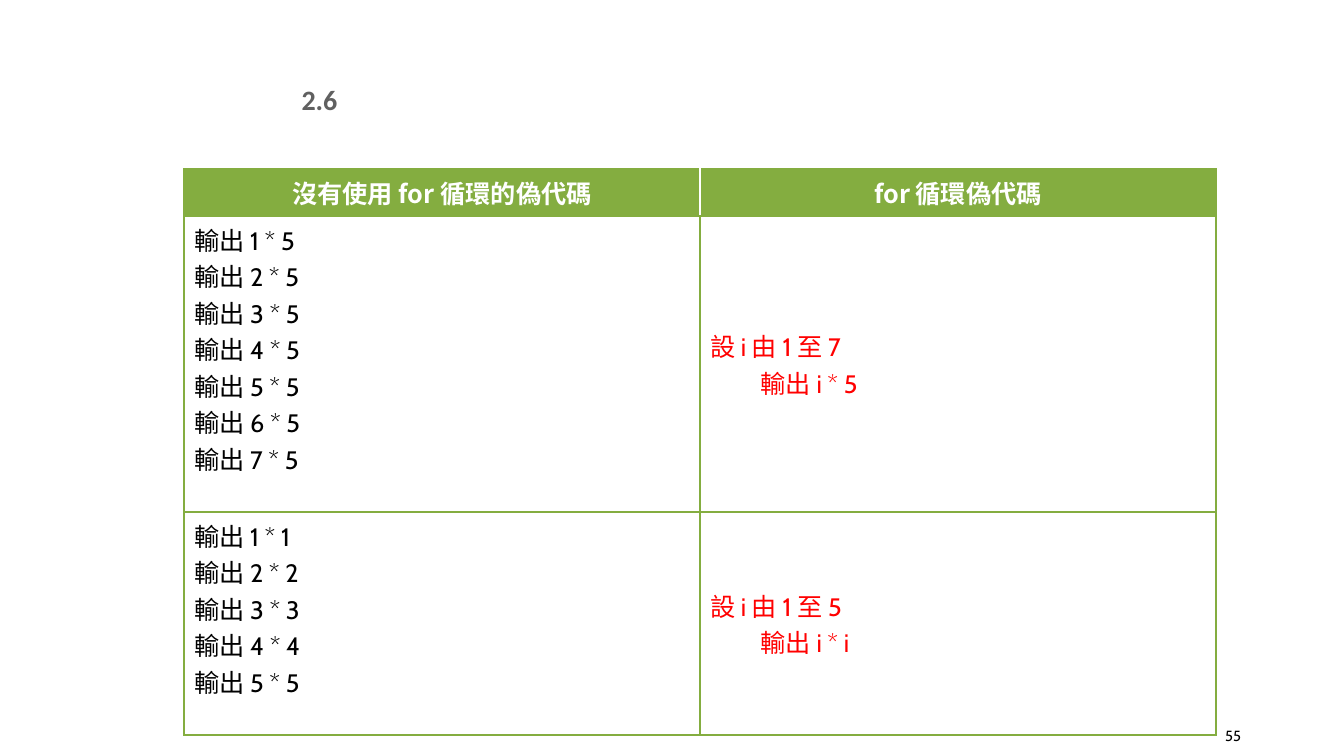
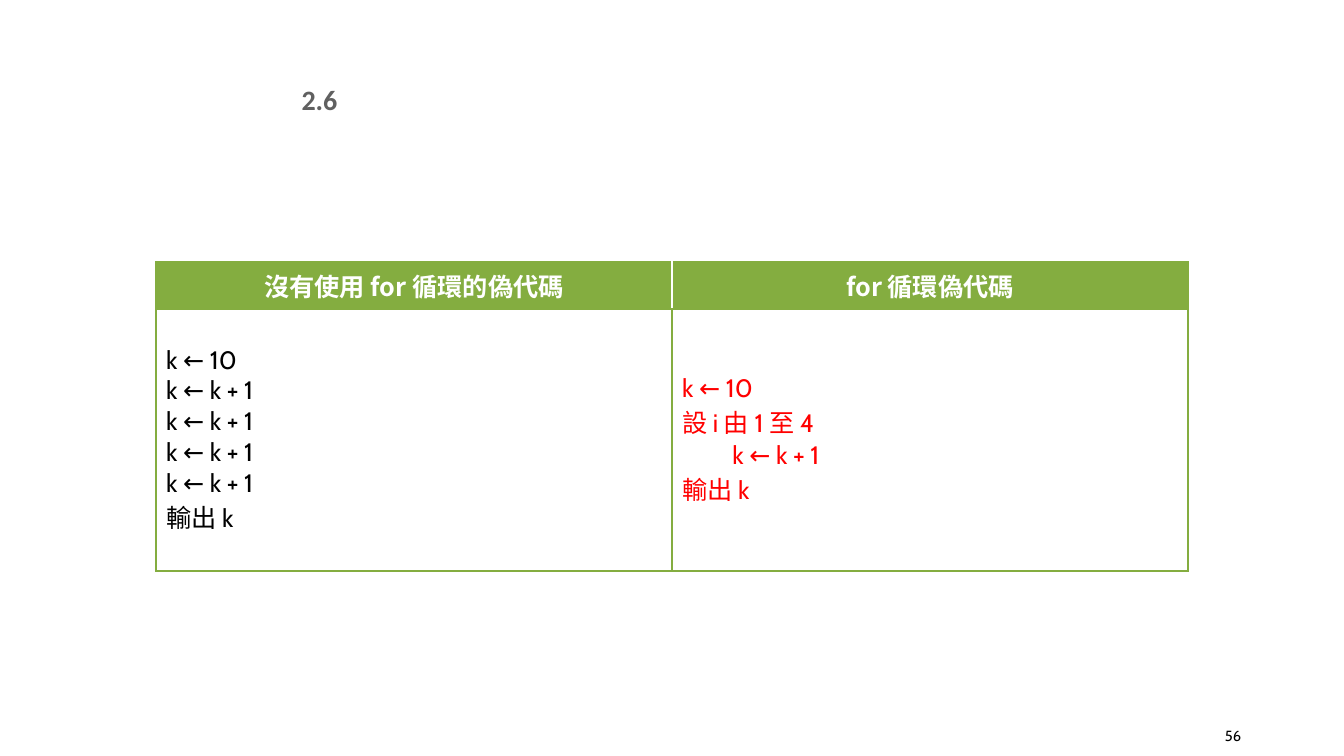
"""Build two slides comparing repeated pseudocode with for loops."""
from dataclasses import dataclass

import pptx
import pptx.dml.color
import pptx.enum.text
import pptx.oxml
import pptx.oxml.ns
import pptx.util

ALIGN = pptx.enum.text.PP_ALIGN
ANCHOR = pptx.enum.text.MSO_ANCHOR
SCALE = 914400 / 100.8
GREEN, WHITE, BLACK, RED, GRAY = "84AD40", "FFFFFF", "000000", "FF0000", "606060"
LATIN, HAN = "Cabin", "Noto Sans CJK TC"
HEADS = ("沒有使用 for 循環的偽代碼", "for 循環偽代碼")
HEAD_H, COL_W = 47, 516


@dataclass(frozen=True)
class Style:
    size: float
    color: str
    face: str = LATIN
    bold: bool = False
    align: ALIGN = ALIGN.LEFT


@dataclass(frozen=True)
class Row:
    height: int
    plain: list[str]
    loop: list[str]
    anchor: ANCHOR = ANCHOR.TOP


@dataclass(frozen=True)
class Page:
    number: int
    left: int
    top: int
    rows: list[Row]


TITLE = Style(20, GRAY, "Calibri", True, ALIGN.CENTER)
HEAD = Style(18, WHITE, HAN, True, ALIGN.CENTER)
PLAIN = Style(18, BLACK)
LOOP = Style(18, RED)
NUMBER = Style(10.5, BLACK, align=ALIGN.RIGHT)

PAGES = [
    Page(55, 184, 169, [
        Row(296, [f"輸出 {n} * 5" for n in range(1, 8)],
            ["設 i 由 1 至 7", "\t輸出 i * 5"]),
        Row(223, [f"輸出 {n} * {n}" for n in range(1, 6)],
            ["設 i 由 1 至 5", "\t輸出 i * i"]),
    ]),
    Page(56, 156, 262, [
        Row(262, ["k ← 10", *["k ← k + 1"] * 4, "輸出 k"],
            ["k ← 10", "設 i 由 1 至 4", "\tk ← k + 1", "輸出 k"], ANCHOR.MIDDLE),
    ]),
]


def px(length: int) -> int:
    return pptx.util.Emu(round(length * SCALE))


def rgb(code: str) -> pptx.dml.color.RGBColor:
    return pptx.dml.color.RGBColor.from_string(code)


def write(frame, lines: list[str], style: Style) -> None:
    frame.text = "\n".join(lines)
    for para in frame.paragraphs:
        para.alignment = style.align
        font = para.font
        font.size = pptx.util.Pt(style.size)
        font.bold = style.bold
        font.color.rgb = rgb(style.color)
        font.name = style.face
        latin = para._p.pPr.find(".//" + pptx.oxml.ns.qn("a:latin"))
        latin.addnext(pptx.oxml.parse_xml(
            f'<a:ea {pptx.oxml.ns.nsdecls("a")} typeface="{HAN}"/>'))


def edge(cell, sides: dict[str, str]) -> None:
    props = cell._tc.get_or_add_tcPr()
    for spot, (side, color) in enumerate(sides.items()):
        props.insert(spot, pptx.oxml.parse_xml(
            f'<a:ln{side} {pptx.oxml.ns.nsdecls("a")} w="12700"><a:solidFill>'
            f'<a:srgbClr val="{color}"/></a:solidFill></a:ln{side}>'))


def label(slide, number: int) -> None:
    title = slide.shapes.title
    title.left, title.top, title.width, title.height = map(px, (272, 84, 95, 31))
    frame = title.text_frame
    frame.auto_size = pptx.enum.text.MSO_AUTO_SIZE.NONE
    frame.margin_left = frame.margin_right = frame.margin_top = frame.margin_bottom = 0
    frame.vertical_anchor = ANCHOR.MIDDLE
    write(frame, ["2.6"], TITLE)

    box = slide.shapes.add_textbox(*map(px, (1166, 716, 85, 40)))
    box.text_frame.word_wrap = True
    box.text_frame.vertical_anchor = ANCHOR.MIDDLE
    write(box.text_frame, [str(number)], NUMBER)


def grid(slide, page: Page) -> None:
    heights = [HEAD_H, *(row.height for row in page.rows)]
    table = slide.shapes.add_table(
        len(heights), 2, px(page.left), px(page.top),
        px(2 * COL_W), px(sum(heights))).table
    table.horz_banding = False
    for col in table.columns:
        col.width = px(COL_W)
    for line, height in zip(table.rows, heights):
        line.height = px(height)

    for col, text in enumerate(HEADS):
        cell = table.cell(0, col)
        cell.fill.solid()
        cell.fill.fore_color.rgb = rgb(GREEN)
        cell.vertical_anchor = ANCHOR.MIDDLE
        write(cell.text_frame, [text], HEAD)
        edge(cell, dict.fromkeys("LRTB", GREEN) | {"RL"[col]: WHITE})

    for at, row in enumerate(page.rows, 1):
        parts = ((row.plain, PLAIN, row.anchor), (row.loop, LOOP, ANCHOR.MIDDLE))
        for col, (lines, style, anchor) in enumerate(parts):
            cell = table.cell(at, col)
            cell.fill.background()
            cell.vertical_anchor = anchor
            write(cell.text_frame, lines, style)
            edge(cell, dict.fromkeys("LRTB", GREEN))


def main() -> None:
    deck = pptx.Presentation()
    deck.slide_width, deck.slide_height = px(1344), px(756)
    for page in PAGES:
        slide = deck.slides.add_slide(deck.slide_layouts[5])
        label(slide, page.number)
        grid(slide, page)
    deck.save("out.pptx")


if __name__ == "__main__":
    main()
